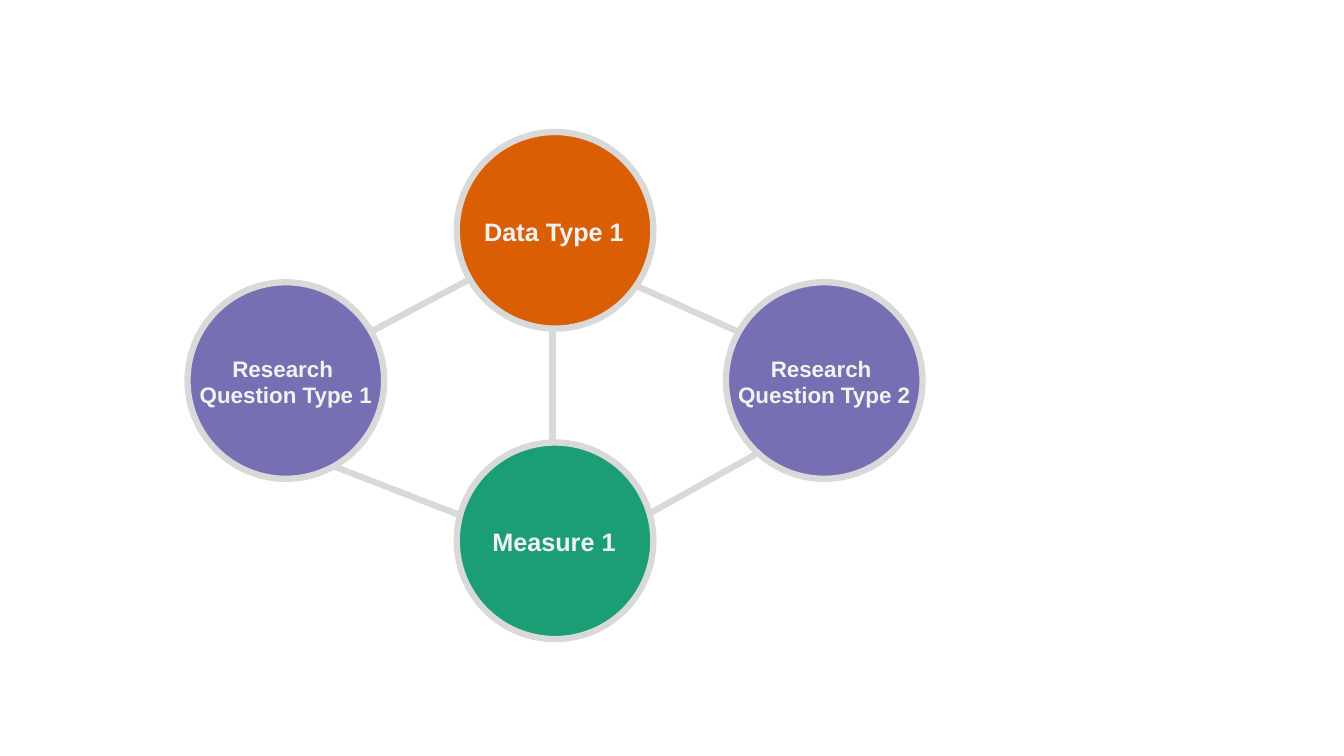
from dataclasses import dataclass

from lxml import etree
from pptx import Presentation
from pptx.dml.color import RGBColor
from pptx.enum.shapes import MSO_CONNECTOR, MSO_SHAPE
from pptx.enum.text import MSO_ANCHOR, PP_ALIGN
from pptx.oxml.ns import qn
from pptx.slide import Slide
from pptx.util import Inches, Pt

ELLIPSE = MSO_SHAPE.OVAL
STRAIGHT = MSO_CONNECTOR.STRAIGHT
CENTER = PP_ALIGN.CENTER
MIDDLE = MSO_ANCHOR.MIDDLE

BLANK_LAYOUT = 6
FONT = "Arial"
GREY, OFF_WHITE = "D9D9D9", "F2F2F2"
ORANGE, GREEN, PURPLE = "D95F02", "1B9E77", "7570B3"
LINE_WIDTH = 4.5
DIAMETER = 1.95


@dataclass(frozen=True)
class Node:
    left: float
    top: float
    fill: str
    lines: tuple[str, ...]
    size: int
    label_width: float
    label_height: float
    label_shift: float = 0


@dataclass(frozen=True)
class Link:
    start: tuple[float, float]
    end: tuple[float, float]


NODES = (
    Node(4.53, 4.39, GREEN, ("Measure 1",), 18, 1.44, 0.4, -0.01),
    Node(4.53, 1.31, ORANGE, ("Data Type 1",), 18, 1.6, 0.4, -0.01),
    Node(7.2, 2.8, PURPLE, ("Research ", "Question Type 2"), 16, 1.93, 0.64),
    Node(1.86, 2.8, PURPLE, ("Research ", "Question Type 1"), 16, 1.93, 0.64),
)
LINKS = (
    Link((6.45, 5.09), (7.49, 4.51)),
    Link((5.48, 3.28), (5.48, 4.41)),
    Link((4.66, 2.77), (3.68, 3.29)),
    Link((4.56, 5.11), (3.32, 4.63)),
    Link((7.32, 3.29), (6.32, 2.84)),
)


def color(value: str) -> RGBColor:
    return RGBColor.from_string(value)


def draw_link(page: Slide, link: Link) -> None:
    ends = [Inches(value) for value in link.start + link.end]
    connector = page.shapes.add_connector(STRAIGHT, *ends)
    connector.line.color.rgb = color(GREY)
    connector.line.width = Pt(LINE_WIDTH)
    etree.SubElement(connector.element.spPr, qn("a:effectLst"))


def draw_circle(page: Slide, node: Node) -> None:
    circle = page.shapes.add_shape(
        ELLIPSE, Inches(node.left), Inches(node.top), Inches(DIAMETER), Inches(DIAMETER)
    )
    circle.shadow.inherit = False
    circle.fill.solid()
    circle.fill.fore_color.rgb = color(node.fill)
    circle.line.color.rgb = color(GREY)
    circle.line.width = Pt(LINE_WIDTH)


def draw_label(page: Slide, node: Node) -> None:
    """Centre the node's text on its circle, apart from a small sideways shift."""
    left = node.left + (DIAMETER - node.label_width) / 2 + node.label_shift
    top = node.top + (DIAMETER - node.label_height) / 2 + 0.01
    box = page.shapes.add_textbox(
        Inches(left), Inches(top), Inches(node.label_width), Inches(node.label_height)
    )
    frame = box.text_frame
    frame.word_wrap = False
    frame.vertical_anchor = MIDDLE
    for index, line in enumerate(node.lines):
        para = frame.add_paragraph() if index else frame.paragraphs[0]
        para.alignment = CENTER
        span = para.add_run()
        span.text = line
        span.font.name = FONT
        span.font.size = Pt(node.size)
        span.font.bold = True
        span.font.color.rgb = color(OFF_WHITE)


def main() -> None:
    deck = Presentation()
    deck.slide_width, deck.slide_height = Inches(13.33), Inches(7.5)
    page = deck.slides.add_slide(deck.slide_layouts[BLANK_LAYOUT])
    for link in LINKS:
        draw_link(page, link)
    for node in NODES:
        draw_circle(page, node)
        draw_label(page, node)
    deck.save("out.pptx")


if __name__ == "__main__":
    main()
